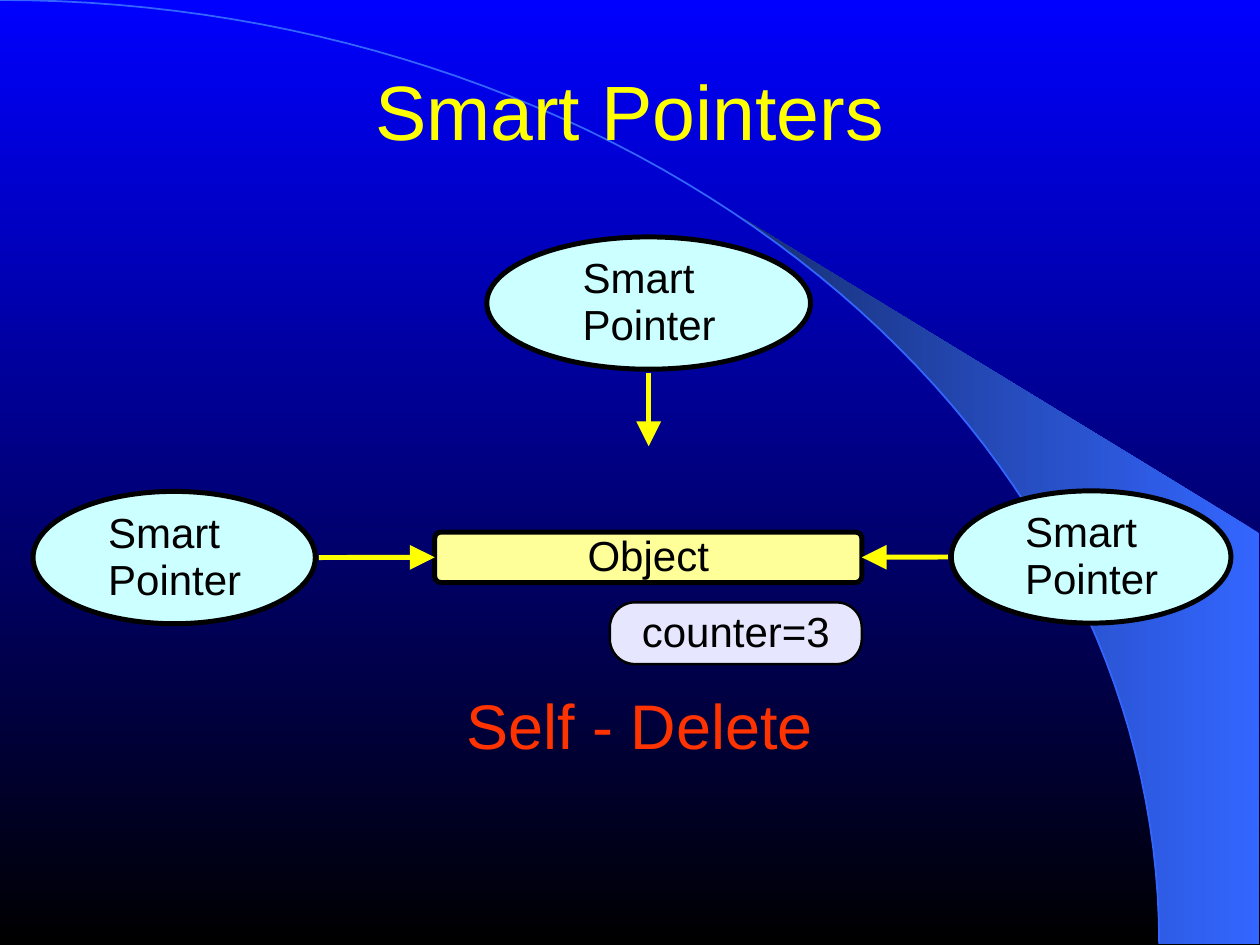
import math
from dataclasses import dataclass

import pptx
import pptx.dml.color
import pptx.enum.shapes
import pptx.enum.text
import pptx.oxml
import pptx.oxml.ns
import pptx.util

Pt = pptx.util.Pt
SHAPE = pptx.enum.shapes.MSO_SHAPE
ALIGN = pptx.enum.text.PP_ALIGN
ANCHOR = pptx.enum.text.MSO_ANCHOR


@dataclass(frozen=True)
class Theme:
    font: str = "Arial"
    title_size: float = 44
    label_size: float = 24
    note_size: float = 36
    spacing: float = 0.93
    thick: float = 2.83
    thin: float = 1.42
    hairline: float = 1
    sky: tuple = ("0000FF", "000000")
    swoosh: tuple = ("3366FF", "172F75")
    arc: str = "3366FF"
    accent: str = "FFFF00"
    note: str = "FF3300"
    ink: str = "000000"
    pointer: str = "CCFFFF"
    object: str = "FFFF99"
    counter: str = "E6E6FF"


THEME = Theme()
WIDTH, HEIGHT = 720, 540

# Boxes are left, top, width, height
TITLE = ("Smart Pointers", (54, 8.6, 612, 108.7))
OBJECT = ("Object", (248.4, 304.1, 244.1, 28.8), 0.122)
COUNTER = ("counter=3", (348.5, 344.2, 144, 35.3), 0.408)
NOTE = ("Self - Delete ", (257.8, 396, 225.4, 40.3))
POINTER_TEXT = "Smart\vPointer"
POINTER_TEXT_WIDTH = 75.4
POINTERS = {
    "left": (18.9, 280.8, 161.3, 75.6),
    "top": (278.2, 135.4, 185, 75.6),
    "right": (543.6, 280.5, 159.8, 75.6),
}
ARROW_GAP = 2
DOWN_ARROW_LENGTH = 42

ARC_RADII = (662.4, 539.3)
ARC_STEPS = 62
SWOOSH_TIP = (424, 124.5)
SWOOSH_RIGHT, SWOOSH_TOP = 719.3, 304.5


def rgb(colour):
    return pptx.dml.color.RGBColor.from_string(colour)


def fill_gradient(fill, colours, angle):
    fill.gradient()
    fill.gradient_angle = angle
    for stop, colour in zip(fill.gradient_stops, colours):
        stop.color.rgb = rgb(colour)


def set_line(line, colour, width):
    line.color.rgb = rgb(colour)
    line.width = Pt(width)


def write(shape, text, size, colour, align=ALIGN.CENTER, anchor=ANCHOR.MIDDLE,
          spacing=None, wrap=True):
    tf = shape.text_frame
    tf.margin_left = tf.margin_top = tf.margin_right = tf.margin_bottom = 0
    tf.vertical_anchor = anchor
    tf.word_wrap = wrap
    p = tf.paragraphs[0]
    p.text = text
    p.alignment = align
    p.line_spacing = spacing
    p.font.name = THEME.font
    p.font.size = Pt(size)
    p.font.color.rgb = rgb(colour)


def add_outline(s, points, close):
    (x, y), *rest = [(Pt(x), Pt(y)) for x, y in points]
    builder = s.shapes.build_freeform(x, y)
    builder.add_line_segments(rest, close=close)
    sp = builder.convert_to_shape()
    sp.shadow.inherit = False
    return sp


def add_backdrop(s):
    fill_gradient(s.background.fill, THEME.sky, 270)
    rx, ry = ARC_RADII
    angles = [math.pi / 2 * i / ARC_STEPS for i in range(ARC_STEPS + 1)]
    arc = [(rx * math.cos(a), ry * (1 - math.sin(a))) for a in angles]
    edge = [point for point in arc if point[0] > SWOOSH_TIP[0]]
    corners = [SWOOSH_TIP, (SWOOSH_RIGHT, SWOOSH_TOP), (SWOOSH_RIGHT, ry)]

    swoosh = add_outline(s, edge + corners, close=True)
    fill_gradient(swoosh.fill, THEME.swoosh, 180)
    swoosh.line.fill.background()
    curve = add_outline(s, arc, close=False)
    curve.fill.background()
    set_line(curve.line, THEME.arc, THEME.hairline)


def add_label(s, kind, text, box, fill, width, corner=None, align=ALIGN.CENTER):
    sp = s.shapes.add_shape(kind, *map(Pt, box))
    sp.shadow.inherit = False
    if corner is not None:
        sp.adjustments[0] = corner
    sp.fill.solid()
    sp.fill.fore_color.rgb = rgb(fill)
    set_line(sp.line, THEME.ink, width)
    write(sp, text, THEME.label_size, THEME.ink, align, spacing=THEME.spacing, wrap=False)
    return sp


def add_arrow(s, start, end):
    line = s.shapes.add_connector(
        pptx.enum.shapes.MSO_CONNECTOR.STRAIGHT, *map(Pt, start + end))
    set_line(line.line, THEME.accent, THEME.thick)
    ns = pptx.oxml.ns.nsdecls("a")
    line.line._get_or_add_ln().append(
        pptx.oxml.parse_xml(f'<a:tailEnd {ns} type="triangle" w="lg" len="lg"/>'))
    line._element.spPr.append(pptx.oxml.parse_xml(f"<a:effectLst {ns}/>"))
    return line


def add_pointer(s, side, box, target):
    left, top, width, height = box
    oval = add_label(s, SHAPE.OVAL, POINTER_TEXT, box, THEME.pointer, THEME.thick,
                     align=ALIGN.LEFT)
    # Lines are flush left; the margin centres them as a block in the oval's text area
    oval.text_frame.margin_left = Pt((width / math.sqrt(2) - POINTER_TEXT_WIDTH) / 2)

    middle_x, middle_y = left + width / 2, top + height / 2
    if side == "top":
        y = top + height + ARROW_GAP
        add_arrow(s, (middle_x, y), (middle_x, y + DOWN_ARROW_LENGTH))
        return
    x = left + width + ARROW_GAP if side == "left" else left - ARROW_GAP
    arrow = add_arrow(s, (x, middle_y), (x, middle_y))
    arrow.end_connect(target, {"left": 1, "right": 3}[side])


def main():
    prs = pptx.Presentation()
    prs.slide_width, prs.slide_height = Pt(WIDTH), Pt(HEIGHT)
    s = prs.slides.add_slide(prs.slide_layouts[5])
    add_backdrop(s)

    text, box = TITLE
    title = s.shapes.title
    title.left, title.top, title.width, title.height = map(Pt, box)
    write(title, text, THEME.title_size, THEME.accent)
    s.shapes._spTree.append(title._element)  # in front of the backdrop

    text, box, corner = OBJECT
    target = add_label(s, SHAPE.ROUNDED_RECTANGLE, text, box, THEME.object, THEME.thick, corner)
    for side, box in POINTERS.items():
        add_pointer(s, side, box, target)
    text, box, corner = COUNTER
    add_label(s, SHAPE.ROUNDED_RECTANGLE, text, box, THEME.counter, THEME.thin, corner)

    text, box = NOTE
    note = s.shapes.add_textbox(*map(Pt, box))
    write(note, text, THEME.note_size, THEME.note, anchor=ANCHOR.TOP, spacing=THEME.spacing)
    prs.save("out.pptx")


if __name__ == "__main__":
    main()
